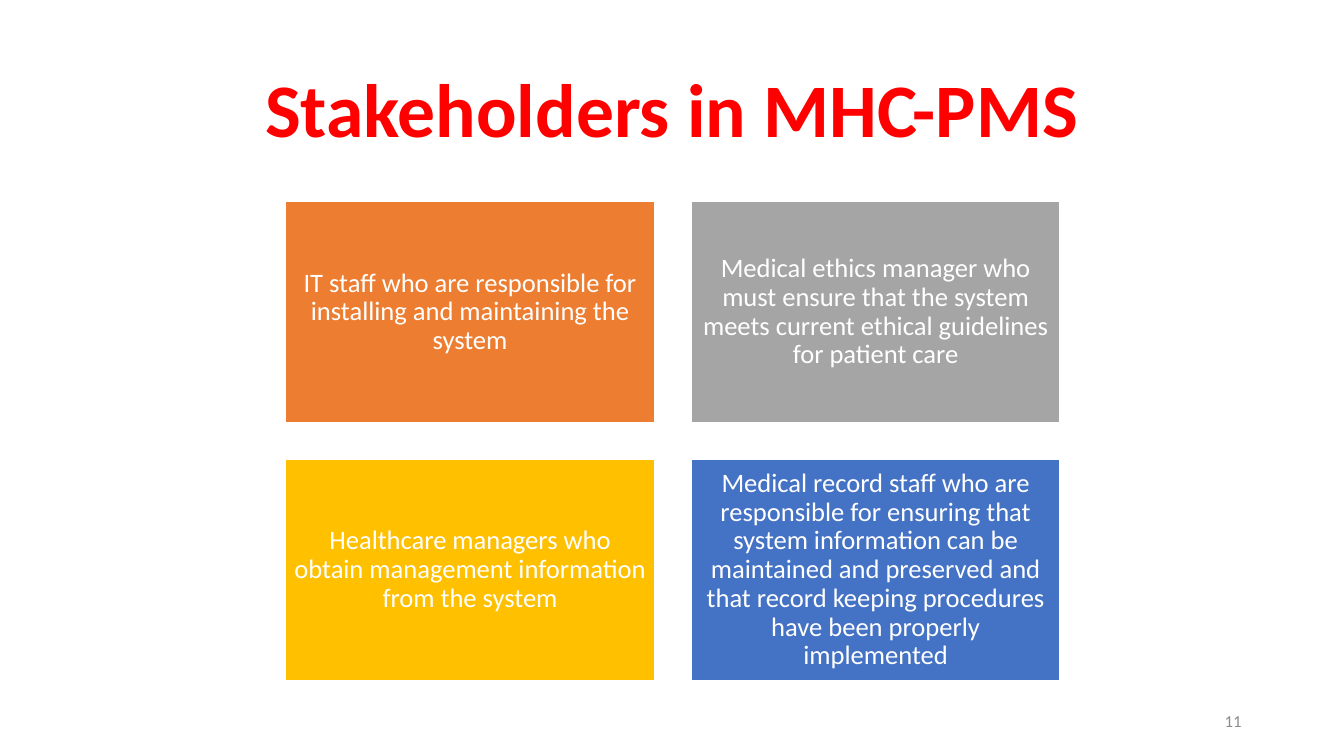
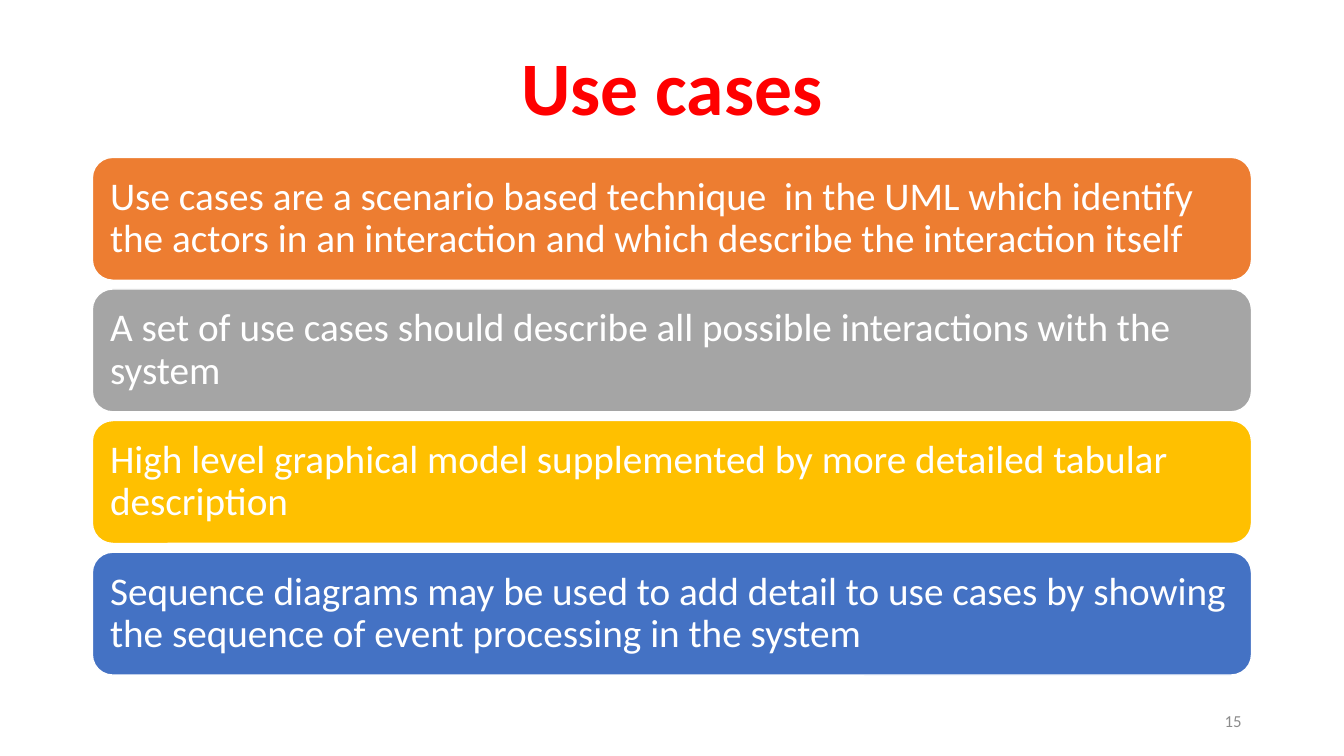
from pptx import Presentation
from pptx.dml.color import RGBColor
from pptx.enum.shapes import MSO_SHAPE
from pptx.enum.text import MSO_ANCHOR, MSO_AUTO_SIZE, PP_ALIGN
from pptx.util import Pt

RECTANGLE, ROUNDED = MSO_SHAPE.RECTANGLE, MSO_SHAPE.ROUNDED_RECTANGLE
LEFT, CENTER, RIGHT = PP_ALIGN.LEFT, PP_ALIGN.CENTER, PP_ALIGN.RIGHT
MIDDLE = MSO_ANCHOR.MIDDLE
NO_AUTOFIT = MSO_AUTO_SIZE.NONE

RED = RGBColor(0xFF, 0x00, 0x00)
WHITE = RGBColor(0xFF, 0xFF, 0xFF)
NUMBER_GRAY = RGBColor(0x8C, 0x8C, 0x8C)
ORANGE = RGBColor(0xED, 0x7D, 0x31)
GRAY = RGBColor(0xA5, 0xA5, 0xA5)
GOLD = RGBColor(0xFF, 0xC0, 0x00)
BLUE = RGBColor(0x44, 0x72, 0xC4)
PANEL_FILLS = [ORANGE, GRAY, GOLD, BLUE]

FONT = "Calibri"
MARGIN, CONTENT_WIDTH = 66, 828

SLIDES = [
    {
        "title": "Stakeholders in MHC-PMS",
        "title_height": 104.4,
        "number": "11",
        "panels": [
            "IT staff who are responsible for installing and maintaining the system",
            "Medical ethics manager who must ensure that the system meets current "
            "ethical guidelines for patient care",
            "Healthcare managers who obtain management information from the system",
            "Medical record staff who are responsible for ensuring that system "
            "information can be maintained and preserved and that record keeping "
            "procedures have been properly implemented",
        ],
        "grid": {"columns": 2, "left": 204, "top": 144, "width": 263.5,
                 "height": 158, "gap": 26.2},
        "outline": RECTANGLE,
        "text": {"size": 19, "align": CENTER, "inset": 5.7},
    },
    {
        "title": "Use cases",
        "title_height": 72,
        "number": "15",
        "panels": [
            "Use cases are a scenario based technique  in the UML which identify "
            "the actors in an interaction and which describe the interaction itself",
            "A set of use cases should describe all possible interactions with the system",
            "High level graphical model supplemented by more detailed tabular description",
            "Sequence diagrams may be used to add detail to use cases by showing "
            "the sequence of event processing in the system",
        ],
        "grid": {"columns": 1, "left": MARGIN, "top": 112.4, "width": CONTENT_WIDTH,
                 "height": 87.8, "gap": 6.2},
        "outline": ROUNDED,
        "text": {"size": 28, "align": LEFT, "inset": 8.4},
    },
]


def write(holder, text, *, size, color=WHITE, bold=False, align=LEFT,
          spacing=0.9, inset=None):
    frame = holder.text_frame
    frame.text = text
    frame.word_wrap = True
    frame.auto_size = NO_AUTOFIT
    frame.vertical_anchor = MIDDLE
    if inset is not None:
        frame.margin_left = frame.margin_right = Pt(inset)
        frame.margin_top = frame.margin_bottom = Pt(inset)
    paragraph = frame.paragraphs[0]
    paragraph.alignment = align
    paragraph.line_spacing = spacing
    font = paragraph.runs[0].font
    font.name, font.size, font.bold = FONT, Pt(size), bold
    font.color.rgb = color


def grid_cell(index, columns, left, top, width, height, gap):
    row, column = divmod(index, columns)
    return (Pt(left + column * (width + gap)), Pt(top + row * (height + gap)),
            Pt(width), Pt(height))


def add_panel(slide, outline, bounds, fill, text, text_format):
    panel = slide.shapes.add_shape(outline, *bounds)
    panel.shadow.inherit = False
    panel.fill.solid()
    panel.fill.fore_color.rgb = fill
    panel.line.color.rgb = WHITE
    panel.line.width = Pt(1)
    write(panel, text, **text_format)


def add_slide(deck, content):
    slide = deck.slides.add_slide(deck.slide_layouts[5])
    title = slide.shapes.title
    title.left, title.top = Pt(MARGIN), Pt(28.8)
    title.width, title.height = Pt(CONTENT_WIDTH), Pt(content["title_height"])
    write(title, content["title"], size=54, color=RED, bold=True, align=CENTER)
    for index, (text, fill) in enumerate(zip(content["panels"], PANEL_FILLS)):
        bounds = grid_cell(index, **content["grid"])
        add_panel(slide, content["outline"], bounds, fill, text, content["text"])
    number = slide.shapes.add_textbox(Pt(678), Pt(500.5), Pt(216), Pt(28.8))
    write(number, content["number"], size=12, color=NUMBER_GRAY, align=RIGHT, spacing=1.0)


def main():
    deck = Presentation()
    deck.slide_width, deck.slide_height = Pt(960), Pt(540)
    for content in SLIDES:
        add_slide(deck, content)
    deck.save("out.pptx")


if __name__ == "__main__":
    main()
